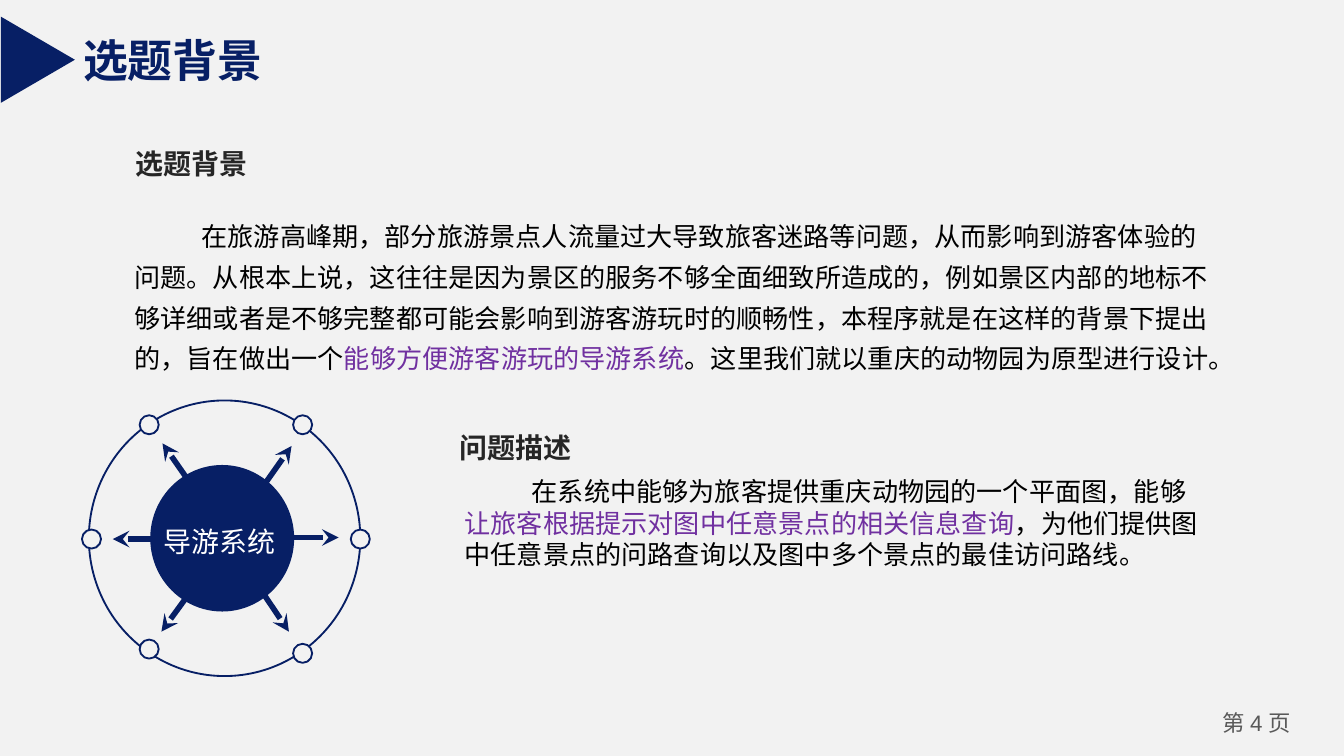
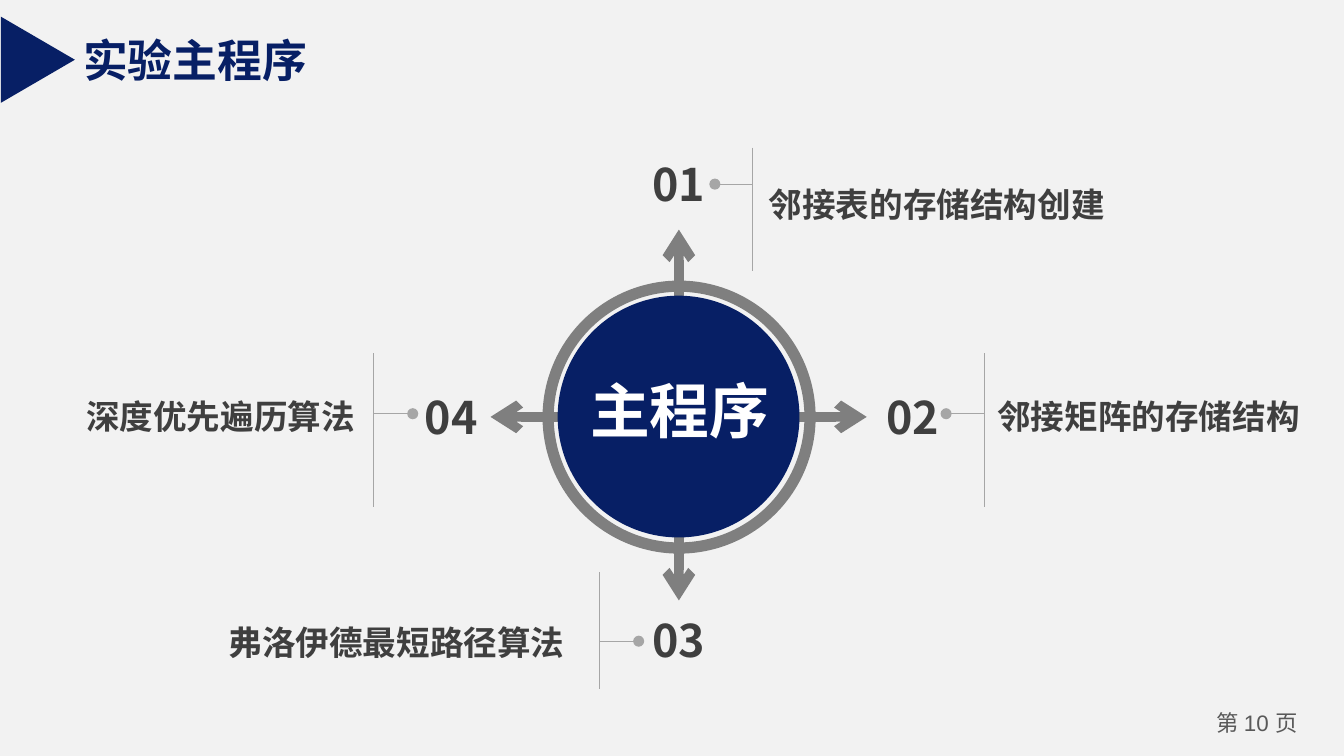
from lxml import etree
from pptx import Presentation
from pptx import util as u
from pptx.dml import color
from pptx.enum import shapes, text
from pptx.oxml import ns

COLOURS = {
    "background": "F2F2F2",
    "navy": "071F65",
    "purple": "7030A0",
    "black": "000000",
    "white": "FFFFFF",
    "heading": "262626",
    "label": "3F3F3F",
    "footer": "595959",
    "ring": "7F7F7F",
    "guide": "A6A6A6",
}
CJK_FONT = "Noto Sans CJK SC"
DEFAULT_INSETS = (0.25, 0.13)


def rgb(name):
    return color.RGBColor.from_string(COLOURS[name])


def add_xml(parent, tag, **attributes):
    return etree.SubElement(parent, ns.qn(tag), attributes)


class Deck:
    """Holds the presentation, its shared style and the current slide."""

    def __init__(self):
        self.presentation = Presentation()
        self.presentation.slide_width = u.Cm(25.4)
        self.presentation.slide_height = u.Cm(14.29)
        fill = self.presentation.slide_master.background.fill
        fill.solid()
        fill.fore_color.rgb = rgb("background")
        self.slide = None

    def new_slide(self, title, title_width, number):
        layout = self.presentation.slide_layouts[6]
        self.slide = self.presentation.slides.add_slide(layout)
        self.text((22.61, 13.31, 2.29, 0.76), f"第 {number} 页", 12, "footer",
                  insets=(0.18, 0.1), centred=True, latin="Arial")
        self.text((1.32, 0.48, title_width, 1.27), title, 24, "navy",
                  bold=True, wrap=False)
        marker = self.shape("ISOSCELES_TRIANGLE", (-0.1, 0.43, 1.63, 1.4), fill="navy")
        marker.rotation = 90

    def shape(self, kind, box, fill=None, line=None, line_width=1):
        shape = self.slide.shapes.add_shape(
            shapes.MSO_SHAPE[kind], *(u.Cm(length) for length in box))
        shape.shadow.inherit = False
        if fill:
            shape.fill.solid()
            shape.fill.fore_color.rgb = rgb(fill)
        else:
            shape.fill.background()
        if line:
            shape.line.color.rgb = rgb(line)
            shape.line.width = u.Pt(line_width)
        else:
            shape.line.fill.background()
        return shape

    def circle(self, left, top, width, height=None, **style):
        return self.shape("OVAL", (left, top, width, height or width), **style)

    def line(self, start, end, colour, width, tip=None):
        """Draw a straight line, with an optional arrowhead at its end."""
        connector = self.slide.shapes.add_connector(
            shapes.MSO_CONNECTOR.STRAIGHT,
            *(u.Cm(length) for length in (*start, *end)))
        connector.line.color.rgb = rgb(colour)
        connector.line.width = u.Pt(width)
        properties = connector._element.spPr
        if tip:
            add_xml(properties.find(ns.qn("a:ln")), "a:tailEnd", type=tip)
        add_xml(properties, "a:effectLst")

    def text(self, box, content, size, colour=None, bold=False, centred=False,
             wrap=True, insets=DEFAULT_INSETS, latin=CJK_FONT,
             indent=None, spacing=None):
        """Add one paragraph; content is a string or a list of (string, colour)."""
        shape = self.slide.shapes.add_textbox(*(u.Cm(length) for length in box))
        frame = shape.text_frame
        frame.word_wrap = wrap
        frame.margin_left = frame.margin_right = u.Cm(insets[0])
        frame.margin_top = frame.margin_bottom = u.Cm(insets[1])
        paragraph = frame.paragraphs[0]
        if centred:
            paragraph.alignment = text.PP_ALIGN.CENTER
        if spacing:
            paragraph.line_spacing = spacing
        font = paragraph.font
        font.size = u.Pt(size)
        font.bold = bold
        if colour:
            font.color.rgb = rgb(colour)
        font.name = latin
        properties = paragraph._p.get_or_add_pPr()
        add_xml(properties.find(ns.qn("a:defRPr")), "a:ea", typeface=CJK_FONT)
        if indent:
            properties.set("marL", "0")
            properties.set("indent", str(int(u.Cm(indent))))
        if isinstance(content, str):
            paragraph.add_run().text = content
            return
        for words, run_colour in content:
            run = paragraph.add_run()
            run.text = words
            run.font.color.rgb = rgb(run_colour)

    def heading(self, left, top, words):
        self.text((left, top, 2.64, 0.89), words, 15, "heading", bold=True, wrap=False)

    def body(self, box, content, spacing=None):
        self.text(box, content, 14, indent=1.27, spacing=spacing)

    def branch(self, number, number_at, stem, dot, label, label_box):
        """Add a number, its dotted link to an upright stem, and the label beside it."""
        self.text((*number_at, 1.32, 1.02), number, 24, "label", bold=True,
                  centred=True, insets=(0, 0))
        stem_x, top, bottom = stem
        self.line((stem_x, top), (stem_x, bottom), "guide", 0.5)
        self.line((stem_x, dot[1]), dot, "guide", 0.5, tip="oval")
        self.text((*label_box, 0.76), label, 18, "label", bold=True, insets=(0, 0))


def build_background(deck):
    deck.new_slide("选题背景", 3.94, 4)
    deck.circle(1.68, 7.57, 5.13, 5.21, line="navy")
    for left, top in ((5.54, 7.85), (2.64, 7.85), (1.55, 10.01),
                      (6.63, 10.01), (5.54, 12.17), (2.64, 12.09)):
        deck.circle(left, top, 0.36, fill="background", line="navy")
    for start, end in (
        ((4.29, 10.16), (5.51, 8.43)),
        ((4.24, 10.16), (6.4, 10.16)),
        ((4.29, 10.13), (3.07, 8.38)),
        ((4.24, 10.19), (2.13, 10.19)),
        ((4.29, 10.24), (3.05, 11.94)),
        ((4.32, 10.24), (5.46, 11.94)),
    ):
        deck.line(start, end, "navy", 3, tip="stealth")
    deck.body((2.29, 3.86, 20.83, 4.7), [
        ("在旅游高峰期，部分旅游景点人流量过大导致旅客迷路等问题，从而影响到游客体验的"
         "问题。从根本上说，这往往是因为景区的服务不够全面细致所造成的，例如景区内部的地标不"
         "够详细或者是不够完整都可能会影响到游客游玩时的顺畅性，本程序就是在这样的背景下提出"
         "的，旨在做出一个", "black"),
        ("能够方便游客游玩的导游系统", "purple"),
        ("。这里我们就以重庆的动物园为原型进行设计。", "black"),
    ], spacing=1.3)
    deck.heading(2.31, 2.64, "选题背景")
    deck.circle(2.84, 8.79, 2.72, 2.77, fill="navy")
    deck.text((2.84, 9.78, 2.95, 0.89), "导游系统", 15, "white")
    deck.heading(8.43, 8, "问题描述")
    deck.body((8.53, 8.86, 14.58, 2.06), [
        ("在系统中能够为旅客提供重庆动物园的一个平面图，能够", "black"),
        ("让旅客根据提示对图中任意景点的相关信息查询", "purple"),
        ("，为他们提供图中任意景点的问路查询以及图中多个景点的最佳访问路线。", "black"),
    ])


def build_main_program(deck):
    deck.new_slide("实验主程序", 4.78, 10)
    deck.circle(10.36, 5.41, 4.95, line="ring", line_width=6)
    for start, end in (
        ((12.83, 5.89), (12.83, 4.34)),
        ((12.83, 9.8), (12.83, 11.35)),
        ((14.83, 7.88), (16.38, 7.88)),
        ((10.82, 7.88), (9.27, 7.88)),
    ):
        deck.line(start, end, "ring", 5, tip="arrow")
    deck.branch("01", (12.17, 2.97), (14.22, 2.79, 5.13), (13.51, 3.48),
                "邻接表的存储结构创建", (14.53, 3.48, 7.65))
    deck.branch("02", (16.59, 7.37), (18.61, 6.68, 9.58), (17.88, 7.82),
                "邻接矩阵的存储结构", (18.85, 7.49, 5.87))
    deck.branch("03", (12.17, 11.58), (11.33, 10.82, 13.03), (12.07, 12.12),
                "弗洛伊德最短路径算法", (4.32, 11.76, 7.37))
    deck.branch("04", (7.87, 7.37), (7.06, 6.68, 9.58), (7.8, 7.82),
                "深度优先遍历算法", (1.63, 7.49, 5.13))
    deck.circle(10.54, 5.59, 4.57, fill="navy")
    deck.text((10.87, 6.93, 3.96, 1.63), "主程序", 32, "white", bold=True, centred=True)


def main():
    deck = Deck()
    build_background(deck)
    build_main_program(deck)
    deck.presentation.save("out.pptx")


if __name__ == "__main__":
    main()
